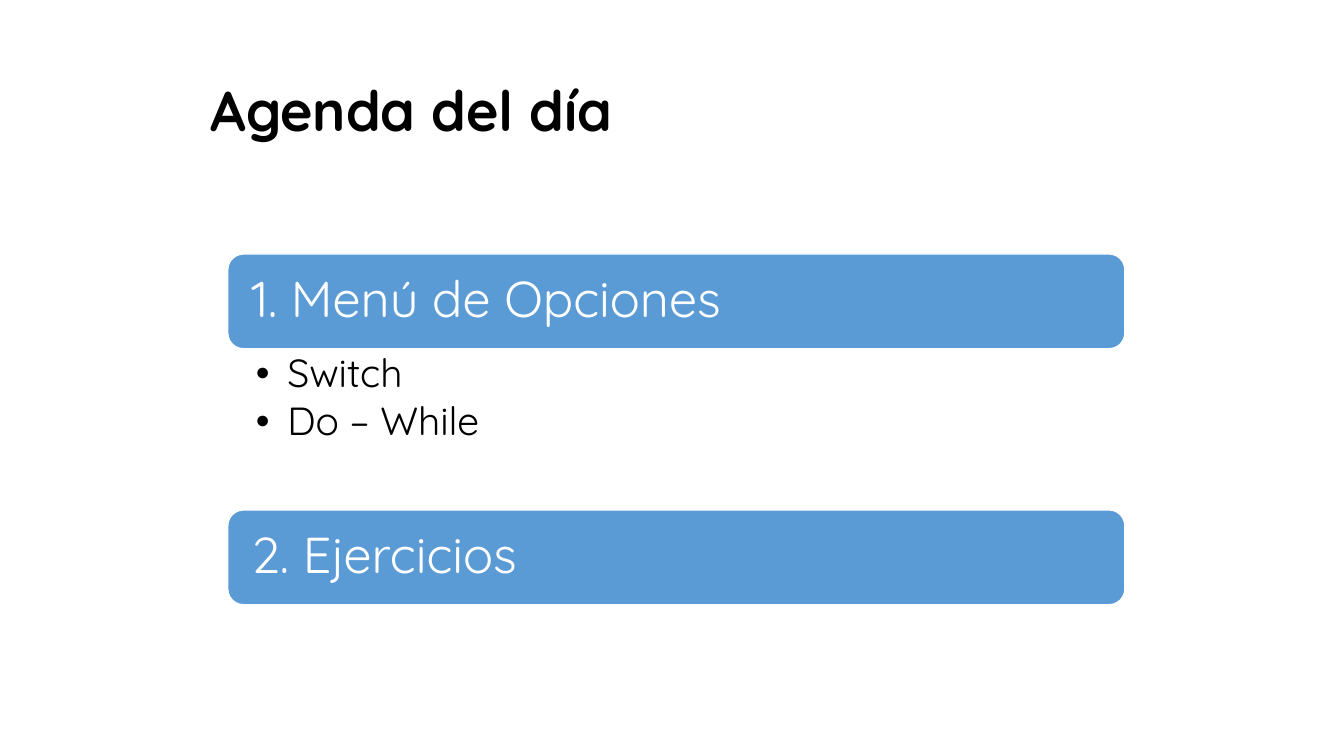
from dataclasses import dataclass

from lxml import etree
from pptx import Presentation
from pptx.dml.color import RGBColor
from pptx.enum.shapes import MSO_SHAPE
from pptx.enum.text import MSO_ANCHOR, MSO_AUTO_SIZE, PP_ALIGN
from pptx.oxml.ns import qn
from pptx.util import Cm, Pt

ROUNDED = MSO_SHAPE.ROUNDED_RECTANGLE
TOP, MIDDLE = MSO_ANCHOR.TOP, MSO_ANCHOR.MIDDLE
NO_AUTOFIT = MSO_AUTO_SIZE.NONE
LEFT = PP_ALIGN.LEFT


@dataclass(frozen=True)
class Theme:
    font: str = "Quicksand"
    ink: RGBColor = RGBColor(0x00, 0x00, 0x00)
    paper: RGBColor = RGBColor(0xFF, 0xFF, 0xFF)
    bar: RGBColor = RGBColor(0x5B, 0x9B, 0xD5)
    title_size: int = 40
    section_size: int = 36
    topic_size: int = 28


class AgendaSlide:
    def __init__(self, presentation, theme):
        self.theme = theme
        self.slide = presentation.slides.add_slide(presentation.slide_layouts[1])

    def place(self, shape, left, top, width, height):
        box = {"left": left, "top": top, "width": width, "height": height}
        for name, length in box.items():
            setattr(shape, name, Cm(length))

    def format_frame(self, frame, anchor, side, edge):
        layout = {
            "word_wrap": True, "auto_size": NO_AUTOFIT, "vertical_anchor": anchor,
            "margin_left": Cm(side), "margin_right": Cm(side),
            "margin_top": Cm(edge), "margin_bottom": Cm(edge),
        }
        for name, value in layout.items():
            setattr(frame, name, value)

    def set_text(self, paragraph, text, size, color, bold=False, after=0):
        paragraph.text = text
        spacing = {"alignment": LEFT, "line_spacing": 0.9,
                   "space_before": Pt(0), "space_after": Pt(after)}
        for name, value in spacing.items():
            setattr(paragraph, name, value)
        style = {"name": self.theme.font, "size": Pt(size), "bold": bold}
        font = paragraph.runs[0].font
        for name, value in style.items():
            setattr(font, name, value)
        font.color.rgb = color

    def title(self, text, *box):
        heading = self.slide.shapes.title
        self.place(heading, *box)
        self.format_frame(heading.text_frame, MIDDLE, 0.25, 0.13)
        self.set_text(heading.text_frame.paragraphs[0], text,
                      self.theme.title_size, self.theme.ink, bold=True)

    def section_bar(self, text, *box):
        bar = self.slide.shapes.add_shape(ROUNDED, *map(Cm, box))
        bar.shadow.inherit = False
        bar.fill.solid()
        bar.fill.fore_color.rgb = self.theme.bar
        bar.line.color.rgb = self.theme.paper
        bar.line.width = Pt(1)
        self.format_frame(bar.text_frame, MIDDLE, 0.48, 0.48)
        self.set_text(bar.text_frame.paragraphs[0], text,
                      self.theme.section_size, self.theme.paper)

    def topic_list(self, topics, *box):
        body = self.slide.placeholders[1]
        self.place(body, *box)
        frame = body.text_frame
        self.format_frame(frame, TOP, 0.71, 0.13)
        for index, topic in enumerate(topics):
            paragraph = frame.add_paragraph() if index else frame.paragraphs[0]
            self.add_bullet(paragraph, 0.79)
            self.set_text(paragraph, topic, self.theme.topic_size,
                          self.theme.ink, after=4)

    def add_bullet(self, paragraph, indent):
        properties = paragraph._p.get_or_add_pPr()
        properties.set("marL", str(Cm(indent)))
        properties.set("indent", str(-Cm(indent)))
        etree.SubElement(properties, qn("a:buChar")).set("char", "•")


def main():
    presentation = Presentation()
    presentation.slide_width, presentation.slide_height = Cm(33.87), Cm(19.05)
    agenda = AgendaSlide(presentation, Theme())

    left, width = 5.74, 22.61
    first_top, bar_height, list_height = 6.4, 2.39, 4.06
    sections = ["1. Menú de Opciones", "2. Ejercicios"]

    agenda.title("Agenda del día", 5.05, 1.02, 26.49, 3.68)
    for index, section in enumerate(sections):
        top = first_top + index * (bar_height + list_height)
        agenda.section_bar(section, left, top, width, bar_height)
    agenda.topic_list(["Switch", "Do – While"],
                      left, first_top + bar_height, width, list_height)

    presentation.save("out.pptx")


if __name__ == "__main__":
    main()
